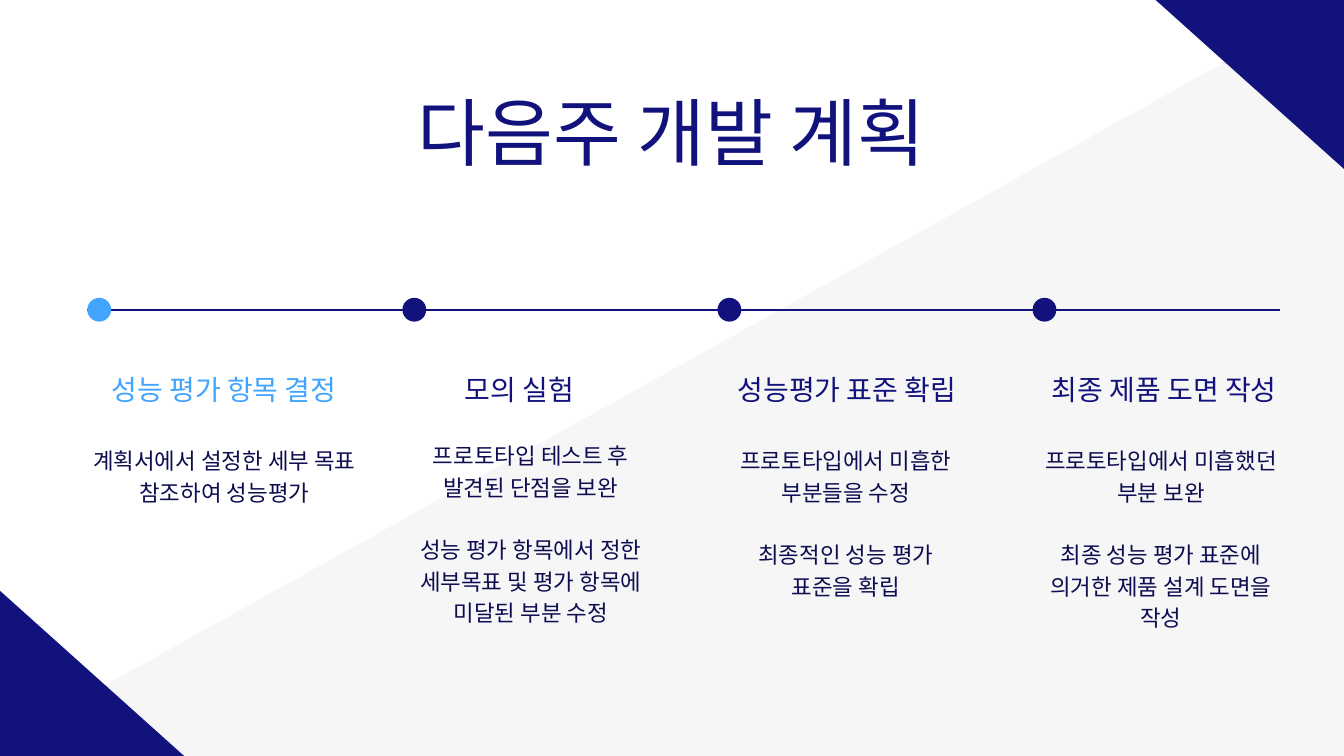
from pptx import Presentation
from pptx.dml.color import RGBColor
from pptx.enum.shapes import MSO_CONNECTOR, MSO_SHAPE
from pptx.enum.text import MSO_AUTO_SIZE, PP_ALIGN
from pptx.oxml.ns import qn
from pptx.util import Cm, Pt
from lxml import etree

RECT, OVAL = MSO_SHAPE.RECTANGLE, MSO_SHAPE.OVAL
STRAIGHT = MSO_CONNECTOR.STRAIGHT
CENTER = PP_ALIGN.CENTER
GROW = MSO_AUTO_SIZE.SHAPE_TO_FIT_TEXT

NAVY, SKY, INK, PALE = "12127D", "41A4FF", "0D0D50", "F6F6F6"
LATIN, CJK = "Calibri", "Noto Sans CJK KR"


def color(code):
    return RGBColor.from_string(code)


class Deck:
    def __init__(self, width, height):
        self.prs = Presentation()
        self.prs.slide_width, self.prs.slide_height = Cm(width), Cm(height)
        self.slide = self.prs.slides.add_slide(self.prs.slide_layouts[6])

    def shape(self, kind, box, fill, turn=0):
        item = self.slide.shapes.add_shape(kind, *map(Cm, box))
        item.shadow.inherit = False
        item.fill.solid()
        item.fill.fore_color.rgb = color(fill)
        item.line.fill.background()
        item.rotation = turn

    def line(self, ends, tint, weight):
        item = self.slide.shapes.add_connector(STRAIGHT, *map(Cm, ends))
        item.line.color.rgb = color(tint)
        item.line.width = Pt(weight)
        etree.SubElement(item._element.spPr, qn("a:effectLst"))

    def text(self, box, paras, size, lead, tint):
        frame = self.slide.shapes.add_textbox(*map(Cm, box)).text_frame
        frame.margin_left = frame.margin_right = 0
        frame.margin_top = frame.margin_bottom = 0
        frame.word_wrap = True
        frame.auto_size = GROW
        for index, runs in enumerate(paras):
            para = frame.add_paragraph() if index else frame.paragraphs[0]
            para.alignment = CENTER
            para.line_spacing = Pt(lead)
            if index:
                para.space_before = Pt(lead)
            for words, face in runs:
                run = para.add_run()
                run.text = words
                run.font.name = face
                run.font.size = Pt(size)
                run.font.color.rgb = color(tint)


STEPS = [
    ("성능 평가 항목 결정", SKY, 10.34, (0.05, 16.74, 10.26, 3.45),
     [[("계획서에서 설정한 세부 목표 참조하여 성능평가", LATIN)]]),
    ("모의 실험", NAVY, 8.84, (0.43, 16.56, 8.84, 8.1),
     [[("프로토타입 테스트 후 발견된 단점을 보완", LATIN)],
      [("성능", LATIN),
       (" 평가 항목에서 정한 세부목표 및 평가 항목에 미달된 부분 수정", CJK)]]),
    ("성능평가 표준 확립", NAVY, 9.78, (0.43, 16.74, 8.84, 6.96),
     [[("프로토타입에서 미흡한 부분들을 수정", LATIN)],
      [("최종적인 성능 평가 표준을 확립", LATIN)]]),
    ("최종 제품 도면 작성", NAVY, 9.96, (0.43, 16.74, 8.84, 8.1),
     [[("프로토타입에서 미흡했던 부분 보완", LATIN)],
      [("최종 성능 평가 표준에 의거한 제품 설계 도면을 작성", CJK)]]),
]
START, PITCH, DOT, AXIS = 3.3, 11.91, 0.9, 11.71


def main():
    deck = Deck(50.8, 28.58)
    deck.shape(RECT, (14.68, 0.66, 39.73, 61.93), PALE, 240.9)
    for left, top in ((45.95, -9.09), (-7.72, 23.32)):
        deck.shape(RECT, (left, top, 14.17, 15.93), NAVY, 131.9)
    deck.text((2.84, 3.3, 45.08, 3.35), [[("다음주 개발 계획", LATIN)]],
              79, 94.8, NAVY)
    deck.line((START, AXIS, 48.39, AXIS), NAVY, 2.25)
    for index, (head, tint, width, body, paras) in enumerate(STEPS):
        left = START + index * PITCH
        shift, top, span, height = body
        deck.shape(OVAL, (left, AXIS - DOT / 2, DOT, DOT), tint)
        deck.text((left, 14.07, width, 1.3), [[(head, LATIN)]], 30, 36, tint)
        deck.text((left + shift, top, span, height), paras, 24, 33.6, INK)
    deck.prs.save("out.pptx")


if __name__ == "__main__":
    main()
